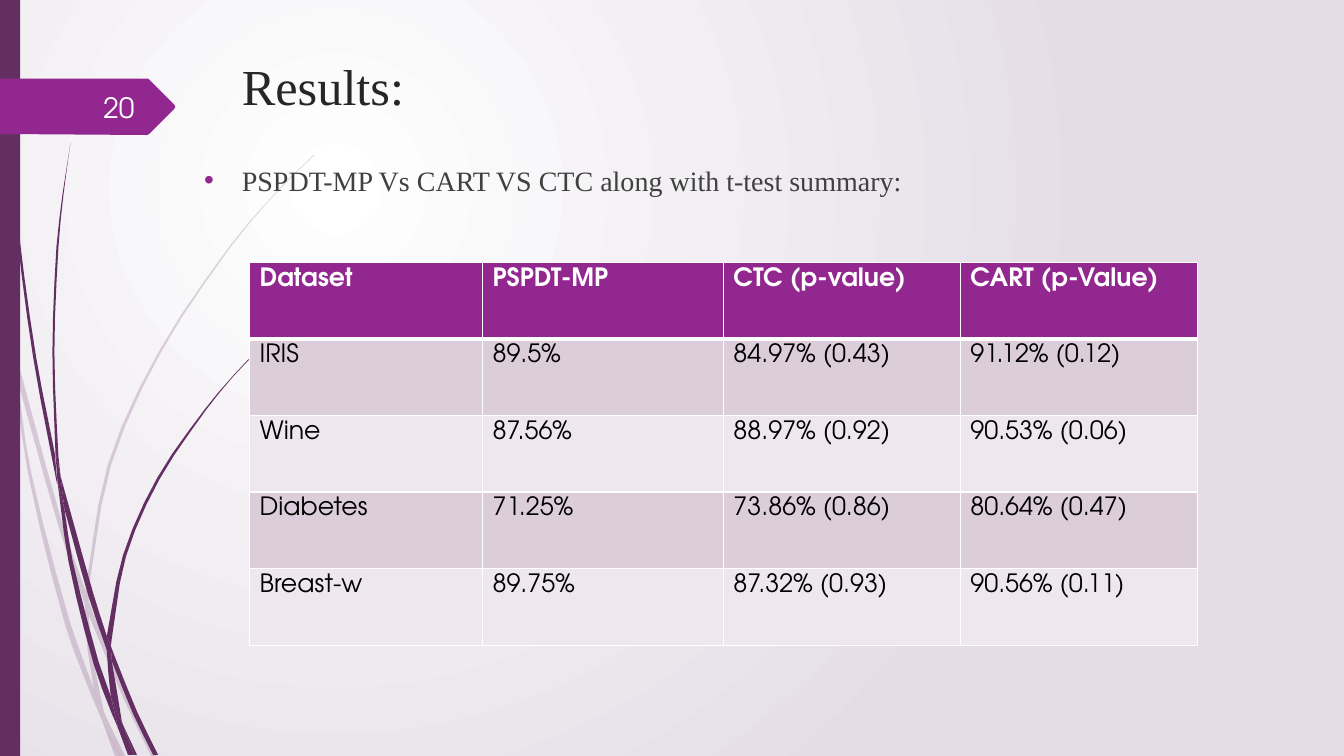
from lxml import etree
from pptx import Presentation
from pptx.dml.color import RGBColor
from pptx.enum.shapes import MSO_SHAPE as Preset
from pptx.enum.text import MSO_ANCHOR as Anchor, MSO_AUTO_SIZE as AutoSize, PP_ALIGN as Align
from pptx.oxml.ns import qn
from pptx.util import Cm, Pt

PLUM = RGBColor(0x63, 0x2E, 0x62)
PURPLE = RGBColor(0x92, 0x27, 0x8F)
WHITE = RGBColor(0xFF, 0xFF, 0xFF)
BLACK = RGBColor(0, 0, 0)
MIST = RGBColor(0xE4, 0xDD, 0xE6)
TITLE_INK = RGBColor(0x26, 0x26, 0x26)
BODY_INK = RGBColor(0x40, 0x40, 0x40)
BAND_DARK = RGBColor(0xDC, 0xCD, 0xDB)
BAND_LIGHT = RGBColor(0xEE, 0xE8, 0xEE)
SERIF = "Times New Roman"
SANS = "TeX Gyre Adventor"

UNIT = 0.0254  # cm per step of the outline coordinates

# Each strand is a list of smooth edges, separated by bars, run around its outline
FAINT_STRANDS = [
    "11,350 9,322 0,282 | 0,299 10,344",
    "17,376 58,522 84,599 | 85,586 62,520 14,345",
    "88,610 123,694 150,750 | 155,750 127,692 92,607 88,596",
    "119,750 | 124,750 105,711",
    "11,350 28,470 65,621 92,693 101,714 | 99,707 93,683 70,619 31,469 17,376",
    "84,599 87,646 93,683 96,692 105,711 | 103,706 91,646 88,610",
    "85,586 88,596 | 88,584 110,462 160,349 229,245 268,198 290,175 312,154"
    " | 312,153 289,175 268,197 228,244 158,348 107,461 85,584",
    "101,714 114,750 | 119,750",
    "84,599 88,610 | 88,596 85,586",
    "93,683 99,707 101,714 119,750 | 105,711 96,692",
]
DARK_STRANDS = [
    "3,0 4,48 7,110 17,233 33,355 56,477 57,481"
    " | 55,457 55,453 36,355 19,232 8,109 5,48 4,0",
    "64,505 88,592 106,645 | 106,631 93,590 60,472",
    "111,656 132,708 152,749 | 157,749 136,706 113,649 110,641",
    "57,477 68,557 93,659 111,708 117,722 | 116,717 110,691 98,657 72,556 64,505",
    "60,472 58,453 54,349 58,245 63,193 70,141 | 62,193 56,245 52,349 55,449",
    "133,749 | 136,749 122,719",
    "57,477 64,505 | 60,472 55,449",
    "106,631 110,641 | 111,633 125,552 158,476 205,406 231,374 245,359 261,344"
    " | 260,344 245,358 231,373 204,405 156,474 122,551 106,631",
    "117,722 127,749 | 131,749",
    "106,645 110,691 116,706 122,719 | 121,716 111,656 109,651",
    "106,645 111,656 | 110,641 106,631",
    "110,691 116,717 117,722 130,749 | 133,749 122,719 116,706",
]
NUMBER_TAG = "0,78 | 147,78 | 148,79 | 173,104 | 174,106 | 173,108 | 148,133 | 146,134 | 0,133"

RESULTS = [
    ["Dataset", "PSPDT-MP", "CTC (p-value)", "CART (p-Value)"],
    ["IRIS", "89.5%", "84.97% (0.43)", "91.12% (0.12)"],
    ["Wine", "87.56%", "88.97% (0.92)", "90.53% (0.06)"],
    ["Diabetes", "71.25%", "73.86% (0.86)", "80.64% (0.47)"],
    ["Breast-w", "89.75%", "87.32% (0.93)", "90.56% (0.11)"],
]
COLUMN_WIDTHS = [5.87, 6.07, 5.97, 5.97]
ROW_HEIGHT = 1.93


def add_xml(parent, tag, **attributes):
    return etree.SubElement(parent, qn(tag), attributes)


def smooth(edge):
    """Points of a smooth curve through the nodes of one edge."""
    nodes = [complex(*map(float, node.split(","))) for node in edge.split()]
    slopes = []
    for i, node in enumerate(nodes):
        before, after = nodes[max(i - 1, 0)], nodes[min(i + 1, len(nodes) - 1)]
        length = abs(node - before) + abs(after - node)
        slopes.append((after - before) / length if length else 0)
    points = nodes[:1]
    for i in range(len(nodes) - 1):
        start, end = nodes[i], nodes[i + 1]
        chord = abs(end - start)
        steps = 1 if chord < 40 else 2 if chord < 70 else 3
        for step in range(1, steps + 1):
            t = step / steps
            blend = t * t * (3 - 2 * t)
            points.append(start + (end - start) * blend
                          + chord * slopes[i] * t * (1 - t) ** 2
                          - chord * slopes[i + 1] * t * t * (1 - t))
    return points


class SlideBuilder:
    def __init__(self, deck):
        self.layout = deck.slide_layouts[1]
        for holder in list(self.layout.placeholders):
            if holder.placeholder_format.idx > 1:  # date, footer and number
                self.layout.shapes.element.remove(holder.element)
        self.page = deck.slides.add_slide(self.layout)
        self.shapes = self.page.shapes

    def background(self, centre, rim):
        fill = self.page.background.fill
        fill.gradient()
        for stop, color, position in zip(fill.gradient_stops, (centre, rim), (0, 1)):
            stop.color.rgb = color
            stop.position = position
        gradient = self.page.element.find(".//" + qn("a:gradFill"))
        gradient.remove(gradient.find(qn("a:lin")))
        radial = add_xml(gradient, "a:path", path="circle")
        add_xml(radial, "a:fillToRect", l="50000", t="50000", r="100000", b="100000")

    def paint(self, shape, color, opacity=100):
        shape.shadow.inherit = False
        shape.fill.solid()
        shape.fill.fore_color.rgb = color
        shape.line.fill.background()
        if opacity < 100:
            tint = shape.element.spPr.find(".//" + qn("a:srgbClr"))
            add_xml(tint, "a:alpha", val=str(opacity * 1000))

    def outline(self, shapes, edges, color, opacity=100):
        points = [(Cm(point.real * UNIT), Cm(point.imag * UNIT))
                  for edge in edges.split("|") for point in smooth(edge)]
        builder = shapes.build_freeform(*points[0], scale=1.0)
        builder.add_line_segments(points[1:], close=True)
        shape = builder.convert_to_shape()
        self.paint(shape, color, opacity)
        return shape

    def tuft(self, strands, color, opacity=100):
        group = self.shapes.add_group_shape()
        for strand in strands:
            self.outline(group.shapes, strand, color, opacity)
        return group

    def bar(self, left, top, width, height, color):
        box = self.shapes.add_shape(
            Preset.RECTANGLE, Cm(left), Cm(top), Cm(width), Cm(height))
        self.paint(box, color)
        return box

    def move_to_layout(self, *parts):
        for part in parts:
            self.layout.shapes.element.append(part.element)

    def style(self, para, size, font, color, align=Align.LEFT, bold=False):
        para.alignment = align
        para.font.size, para.font.name, para.font.bold = Pt(size), font, bold
        para.font.color.rgb = color

    def placeholder(self, index, text, left, top, width, height):
        box = self.page.placeholders[index]
        box.left, box.top, box.width, box.height = Cm(left), Cm(top), Cm(width), Cm(height)
        box.text_frame.text = text
        box.text_frame.auto_size = AutoSize.NONE
        box.text_frame.vertical_anchor = Anchor.TOP
        return box.text_frame.paragraphs[0]

    def bullet(self, para, color):
        props = para._p.get_or_add_pPr()
        props.set("marL", str(Cm(0.95)))
        props.set("indent", str(-Cm(0.95)))
        add_xml(add_xml(props, "a:buClr"), "a:srgbClr", val=str(color))
        add_xml(props, "a:buFont", typeface="Arial")
        add_xml(props, "a:buChar", char="•")

    def label(self, text, left, top, width, height, size, color, align):
        box = self.shapes.add_textbox(Cm(left), Cm(top), Cm(width), Cm(height))
        box.text_frame.word_wrap = True
        box.text_frame.vertical_anchor = Anchor.MIDDLE
        box.text_frame.text = text
        self.style(box.text_frame.paragraphs[0], size, SANS, color, align)

    def cell_borders(self, cell, **widths):
        props = cell._tc.get_or_add_tcPr()
        for side in "LRTB":
            line = add_xml(props, "a:ln" + side, w=str(Pt(widths.get(side, 1))))
            add_xml(add_xml(line, "a:solidFill"), "a:srgbClr", val=str(WHITE))

    def table(self, rows, left, top, widths, row_height):
        grid = self.shapes.add_table(
            len(rows), len(widths), Cm(left), Cm(top),
            Cm(sum(widths)), Cm(row_height * len(rows))).table
        for column, width in zip(grid.columns, widths):
            column.width = Cm(width)
        for r, texts in enumerate(rows):
            header = r == 0
            band = PURPLE if header else (BAND_LIGHT, BAND_DARK)[r % 2]
            for c, text in enumerate(texts):
                cell = grid.cell(r, c)
                self.cell_borders(cell, B=3 if header else 1, T=3 if r == 1 else 1)
                cell.fill.solid()
                cell.fill.fore_color.rgb = band
                cell.text = text
                self.style(cell.text_frame.paragraphs[0], 18, SANS,
                           WHITE if header else BLACK, bold=header)


def main():
    deck = Presentation()
    deck.slide_width, deck.slide_height = Cm(33.87), Cm(19.05)
    slide = SlideBuilder(deck)

    # Backdrop
    slide.background(WHITE, MIST)
    slide.move_to_layout(
        slide.tuft(FAINT_STRANDS, PLUM, opacity=20), slide.tuft(DARK_STRANDS, PLUM),
        slide.bar(0, 0, 0.51, 19.05, PLUM), slide.outline(slide.shapes, NUMBER_TAG, PURPLE))

    # Title and summary line
    title = slide.placeholder(0, "Results:", 5.84, 1.27, 14.66, 2.51)
    slide.style(title, 36, SERIF, TITLE_INK)
    summary = slide.placeholder(
        1, "PSPDT-MP Vs CART VS CTC along with t-test summary:", 4.89, 3.99, 21.39, 12.42)
    slide.style(summary, 20, SERIF, BODY_INK)
    summary.space_before = Pt(10)
    slide.bullet(summary, PURPLE)

    # Page number and results
    slide.label("20", 1.48, 2.19, 2.16, 1.02, 20, WHITE, Align.RIGHT)
    slide.table(RESULTS, 6.29, 6.61, COLUMN_WIDTHS, ROW_HEIGHT)

    deck.save("out.pptx")


if __name__ == "__main__":
    main()
